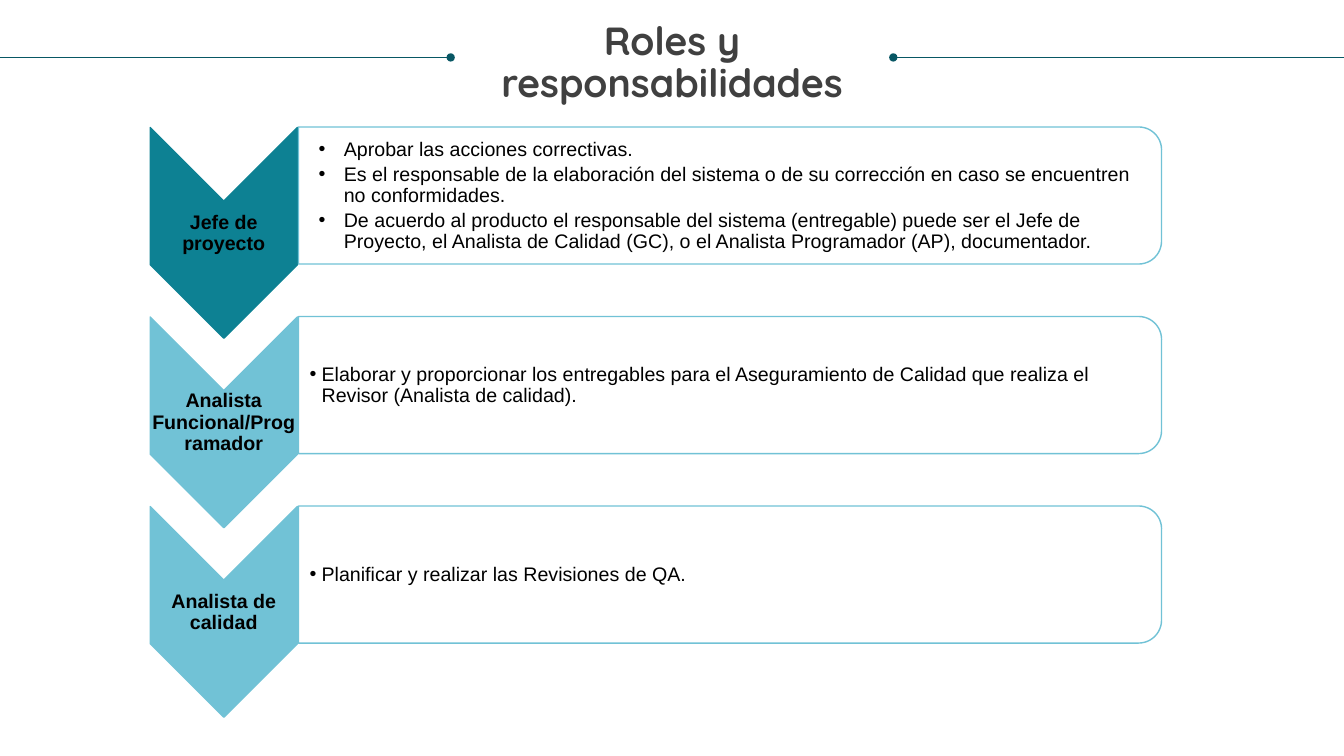
from lxml.etree import SubElement
from pptx import Presentation
from pptx.dml.color import RGBColor
from pptx.enum.shapes import MSO_CONNECTOR, MSO_SHAPE
from pptx.enum.text import MSO_ANCHOR, MSO_AUTO_SIZE, PP_ALIGN
from pptx.oxml.ns import qn
from pptx.util import Inches, Pt

TEAL = RGBColor(0x0D, 0x81, 0x93)
SKY = RGBColor(0x71, 0xC2, 0xD6)
DARK_TEAL = RGBColor(0x08, 0x57, 0x64)
GRAY = RGBColor(0x40, 0x40, 0x40)
BLACK = RGBColor(0, 0, 0)
WHITE = RGBColor(255, 255, 255)

ROW_PITCH = 1.88
# Role, chevron colour, list inset, bullet indent, duties
ROLES = [
    ("Jefe de proyecto", TEAL, 0.2, 0.25, [
        "Aprobar las acciones correctivas.",
        "Es el responsable de la elaboración del sistema o de su corrección "
        "en caso se encuentren no conformidades.",
        "De acuerdo al producto el responsable del sistema (entregable) puede "
        "ser el Jefe de Proyecto, el Analista de Calidad (GC), o el Analista "
        "Programador (AP), documentador."]),
    ("Analista Funcional/Programador", SKY, 0.11, 0.12, [
        "Elaborar y proporcionar los entregables para el Aseguramiento de "
        "Calidad que realiza el Revisor (Analista de calidad)."]),
    ("Analista de calidad", SKY, 0.11, 0.12, [
        "Planificar y realizar las Revisiones de QA."]),
]


class RolesSlide:
    font = "Arial"
    title_font = "Quicksand"
    size = 14

    def __init__(self, prs):
        self.s = prs.slides.add_slide(prs.slide_layouts.get_by_name("Comparison"))
        self.bodies = [sp for sp in self.s.placeholders
                       if sp.placeholder_format.idx > 0]

    def place(self, sp, left, top, width, height):
        sp.left, sp.top = Inches(left), Inches(top)
        sp.width, sp.height = Inches(width), Inches(height)

    def set_text(self, sp, lines, font, size, color, bold=False, align=PP_ALIGN.LEFT,
                 anchor=MSO_ANCHOR.MIDDLE, inset=0.01, left_inset=None, after=0):
        tf = sp.text_frame
        tf.text = "\n".join(lines)
        tf.word_wrap = True
        tf.auto_size = MSO_AUTO_SIZE.NONE
        tf.vertical_anchor = anchor
        tf.margin_top = tf.margin_right = tf.margin_bottom = Inches(inset)
        tf.margin_left = Inches(inset if left_inset is None else left_inset)
        for p in tf.paragraphs:
            p.alignment = align
            p.line_spacing = 0.9
            p.space_before = Pt(0)
            p.space_after = Pt(after)
            for r in p.runs:
                r.font.name, r.font.size, r.font.bold = font, Pt(size), bold
                r.font.color.rgb = color

    def title(self, lines):
        sp = self.s.shapes.title
        self.place(sp, 0.25, 0.21, 12.83, 0.9)
        self.set_text(sp, lines, self.title_font, 28, GRAY, bold=True,
                      align=PP_ALIGN.CENTER, anchor=MSO_ANCHOR.TOP, inset=0)

    def dotted_line(self, dot_x, edge_x, y):
        """Line from a round dot to the edge of the slide."""
        line = self.s.shapes.add_connector(
            MSO_CONNECTOR.STRAIGHT, Inches(dot_x), Inches(y), Inches(edge_x), Inches(y))
        line.line.color.rgb = DARK_TEAL
        line.line.width = Pt(0.5)
        spPr = line.element.spPr
        SubElement(spPr.find(qn("a:ln")), qn("a:headEnd"), type="oval")
        SubElement(spPr, qn("a:effectLst"))

    def turned_shape(self, kind, center_x, center_y, width, height, fill, line):
        """Preset shape turned a quarter clockwise around its centre."""
        sp = self.s.shapes.add_shape(
            kind, Inches(center_x - width / 2), Inches(center_y - height / 2),
            Inches(width), Inches(height))
        sp.rotation = 90
        sp.shadow.inherit = False
        sp.fill.solid()
        sp.fill.fore_color.rgb = fill
        sp.line.color.rgb = line
        sp.line.width = Pt(1)

    def label(self, text, left, top, width, height):
        sp = self.s.shapes.add_textbox(
            Inches(left), Inches(top), Inches(width), Inches(height))
        self.set_text(sp, [text], self.font, self.size, BLACK, bold=True,
                      align=PP_ALIGN.CENTER)

    def duties(self, lines, top, inset, indent):
        sp = self.bodies.pop(0)
        sp.element.getparent().append(sp.element)  # in front of its frame
        self.place(sp, 2.96, top, 8.5, 1.23)
        self.set_text(sp, lines, self.font, self.size, BLACK,
                      left_inset=inset, after=2.5)
        for pPr in sp.element.findall(".//" + qn("a:pPr")):
            pPr.set("marL", str(Inches(indent)))
            pPr.set("indent", str(-Inches(indent)))
            SubElement(pPr, qn("a:buFont"), typeface=self.font)
            SubElement(pPr, qn("a:buChar"), char="•")

    def role(self, row, name, color, inset, indent, lines):
        y = row * ROW_PITCH
        self.turned_shape(MSO_SHAPE.CHEVRON, 2.22, 2.31 + y, 2.09, 1.46, color, color)
        self.label(name, 1.49, 2 + y, 1.46, 0.63)
        self.turned_shape(MSO_SHAPE.ROUND_2_SAME_RECTANGLE, 7.24, 1.94 + y,
                          1.36, 8.56, WHITE, SKY)
        self.duties(lines, 1.33 + y, inset, indent)

    def remove_unused(self):
        for sp in self.bodies:
            sp.element.getparent().remove(sp.element)


def main():
    prs = Presentation()
    prs.slide_width, prs.slide_height = Inches(13.33), Inches(7.5)
    slide = RolesSlide(prs)
    slide.title(["Roles y", "responsabilidades"])
    slide.dotted_line(8.86, 13.33, 0.57)
    slide.dotted_line(4.47, 0, 0.57)
    for row, role in enumerate(ROLES):
        slide.role(row, *role)
    slide.remove_unused()
    prs.save("out.pptx")


if __name__ == "__main__":
    main()
